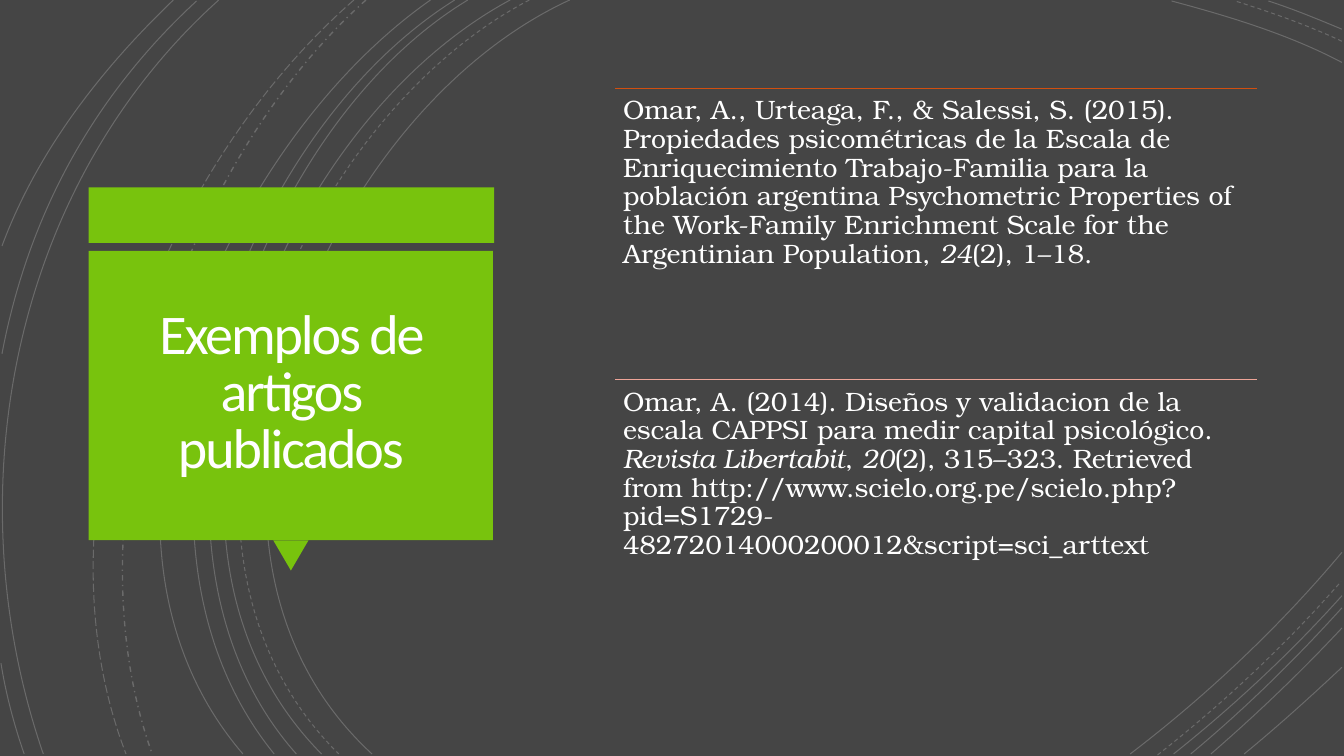
import lxml.etree
import pptx
import pptx.dml.color
import pptx.enum.dml
import pptx.enum.shapes
import pptx.enum.text
import pptx.oxml.ns
import pptx.util

Inches = pptx.util.Inches
Pt = pptx.util.Pt
qn = pptx.oxml.ns.qn
DASHES = pptx.enum.dml.MSO_LINE
SHAPES = pptx.enum.shapes.MSO_SHAPE
ANCHORS = pptx.enum.text.MSO_ANCHOR
ALIGNS = pptx.enum.text.PP_ALIGN

COLORS = {
    "background": "454545",
    "arc": "FFFFFF",
    "green": "78C30D",
    "title": "FFFEFF",
    "text": "FFFFFF",
    "first_rule": "D24F0F",
    "second_rule": "EEA598",
}

ARCS = {
    DASHES.SOLID: [
        [(5.65, 0), (3.15, 1.15), (1.43, 5.4), (3.69, 7.48)],
        [(5.06, 0), (2.7, 1.27), (1.1, 5.37), (3.19, 7.48)],
        [(4.64, 0), (2.44, 1.33), (1.1, 5.41), (2.94, 7.48)],
        [(4.51, 0), (2.31, 1.38), (0.97, 5.33), (2.72, 7.48)],
        [(4.27, 0), (2.17, 1.47), (0.53, 5.29), (2.41, 7.48)],
        [(2.17, 0), (0.11, 1.85), (-0.46, 4.9), (0.43, 7.48)],
        [(1.95, 0.01), (0.92, 0.96), (0.28, 2.14), (0.02, 3.51)],
        [(0.01, 6.58), (0.06, 6.89), (0.14, 7.19), (0.24, 7.48)],
        [(1.72, 0), (1, 0.69), (0.37, 1.5), (0.02, 2.44)],
        [(13.31, 0.62), (12.78, 0.34), (12.18, 0.16), (11.62, 0.01)],
        [(13.31, 0.29), (13.07, 0.19), (12.83, 0.09), (12.58, 0.01)],
        [(11.21, 7.48), (11.97, 6.9), (12.69, 6.22), (13.31, 5.48)],
        [(11.64, 7.48), (12.23, 7.01), (12.8, 6.48), (13.31, 5.91)],
        [(11.81, 7.48), (12.34, 7.04), (12.84, 6.55), (13.31, 6.03)],
        [(12.01, 7.48), (12.46, 7.09), (12.9, 6.67), (13.31, 6.23)],
        [(12.34, 7.48), (12.67, 7.21), (12.99, 6.92), (13.31, 6.62)],
    ],
    DASHES.DASH: [
        [(5.25, 0), (2.85, 1.25), (1.23, 5.37), (3.36, 7.48)],
        [(13.31, 0.41), (12.97, 0.25), (12.6, 0.12), (12.25, 0.01)],
        [(11.48, 7.49), (12.13, 6.98), (12.75, 6.4), (13.3, 5.77)],
    ],
    DASHES.DASH_DOT: [
        [(3.63, 0), (1.76, 1.66), (0.65, 5.09), (1.51, 7.48)],
    ],
    DASHES.LONG_DASH: [
        [(3.51, 0), (1.57, 1.69), (0.29, 4.99), (1.25, 7.48)],
    ],
}

REFERENCES = [
    ("first_rule", [
        ("Omar, A., Urteaga, F., & Salessi, S. (2015). Propiedades psicométricas de la "
         "Escala de Enriquecimiento Trabajo-Familia para la población argentina "
         "Psychometric Properties of the Work-Family Enrichment Scale for the "
         "Argentinian Population, ", False),
        ("24", True),
        ("(2), 1–18.", False),
    ]),
    ("second_rule", [
        ("Omar, A. (2014). Diseños y validacion de la escala CAPPSI para medir "
         "capital psicológico. ", False),
        ("Revista Libertabit", True),
        (", ", False),
        ("20", True),
        ("(2), 315–323. Retrieved from http://www.scielo.org.pe/scielo.php"
         "?pid=S1729-48272014000200012&script=sci_arttext", False),
    ]),
]


def rgb(name):
    return pptx.dml.color.RGBColor.from_string(COLORS[name])


def add_arc(page, points, dash):
    start, *rest = [(Inches(x), Inches(y)) for x, y in points]
    builder = page.shapes.build_freeform(*start)
    builder.add_line_segments(rest, close=False)
    arc = builder.convert_to_shape()
    arc.shadow.inherit = False
    arc.fill.background()
    arc.line.color.rgb = rgb("arc")
    arc.line.width = Pt(1 if dash == DASHES.DASH_DOT else 0.75)
    arc.line.dash_style = dash
    color = next(arc.element.iter(qn("a:srgbClr")))
    lxml.etree.SubElement(color, qn("a:alpha"), val="20000")
    outline = next(arc.element.iter(qn("a:path")))
    curve = lxml.etree.SubElement(outline, qn("a:cubicBezTo"))
    for segment in outline.findall(qn("a:lnTo")):
        curve.append(segment[0])
        outline.remove(segment)


def add_block(page, kind, left, top, width, height):
    block = page.shapes.add_shape(
        kind, Inches(left), Inches(top), Inches(width), Inches(height))
    block.shadow.inherit = False
    block.fill.solid()
    block.fill.fore_color.rgb = rgb("green")
    block.line.fill.background()
    return block


def add_text(page, frame, spans, font, size, color, inset, spacing):
    box = page.shapes.add_textbox(*[Inches(length) for length in frame])
    text = box.text_frame
    text.word_wrap = True
    text.margin_left = text.margin_right = Inches(inset)
    text.margin_top = text.margin_bottom = Inches(inset)
    para = text.paragraphs[0]
    para.line_spacing = spacing
    para.font.name = font
    para.font.size = Pt(size)
    para.font.color.rgb = rgb(color)
    for words, italic in spans:
        span = para.add_run()
        span.text = words
        if italic:
            span.font.italic = True
    return box


def add_title(page):
    box = add_text(page, (0.97, 2.57, 3.83, 2.69),
                   [("Exemplos de artigos publicados", False)],
                   "Calibri", 40, "title", 0.25, 0.85)
    box.text_frame.vertical_anchor = ANCHORS.MIDDLE
    para = box.text_frame.paragraphs[0]
    para.alignment = ALIGNS.CENTER
    para.runs[0].font.element.set("spc", "-150") if hasattr(para.runs[0].font, "element") \
        else para.runs[0]._r.get_or_add_rPr().set("spc", "-150")


def add_rule(page, left, top, width, color):
    rule = page.shapes.add_connector(
        pptx.enum.shapes.MSO_CONNECTOR.STRAIGHT,
        Inches(left), Inches(top), Inches(left + width), Inches(top))
    rule.line.color.rgb = rgb(color)
    rule.line.width = Pt(0.75)
    lxml.etree.SubElement(rule.element.spPr, qn("a:effectLst"))


def main():
    deck = pptx.Presentation()
    deck.slide_width = Inches(13.33)
    deck.slide_height = Inches(7.5)
    page = deck.slides.add_slide(deck.slide_layouts[6])
    page.background.fill.solid()
    page.background.fill.fore_color.rgb = rgb("background")

    for dash, arcs in ARCS.items():
        for points in arcs:
            add_arc(page, points, dash)

    add_block(page, SHAPES.RECTANGLE, 0.88, 1.86, 4.02, 0.55)
    add_block(page, SHAPES.ISOSCELES_TRIANGLE, 2.71, 5.36, 0.35, 0.3).rotation = 180
    add_block(page, SHAPES.RECTANGLE, 0.88, 2.49, 4.01, 2.87)
    add_title(page)

    left, width, height = 6.1, 6.37, 2.89
    for index, (color, spans) in enumerate(REFERENCES):
        top = 0.88 + index * height
        add_rule(page, left, top, width, color)
        add_text(page, (left, top, width, height), spans,
                 "TeX Gyre Bonum", 19, "text", 0.08, 0.9)

    deck.save("out.pptx")


if __name__ == "__main__":
    main()
